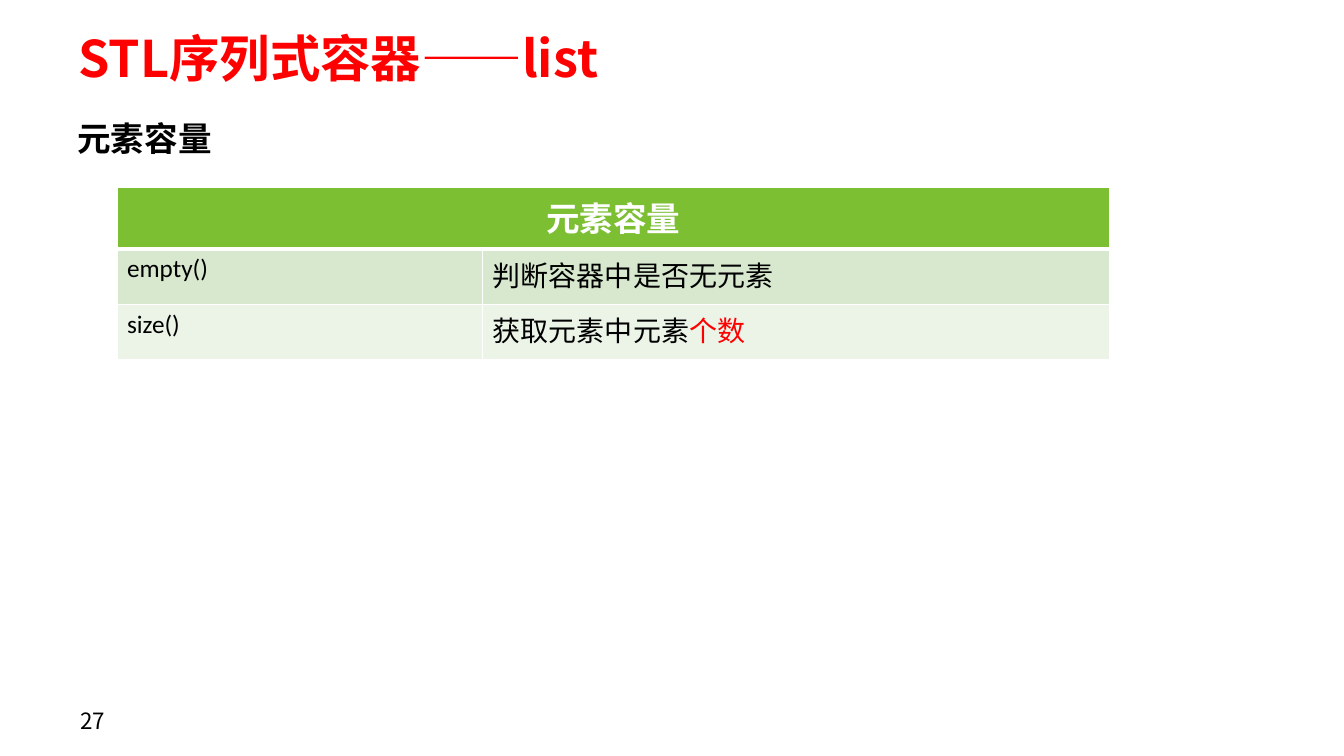
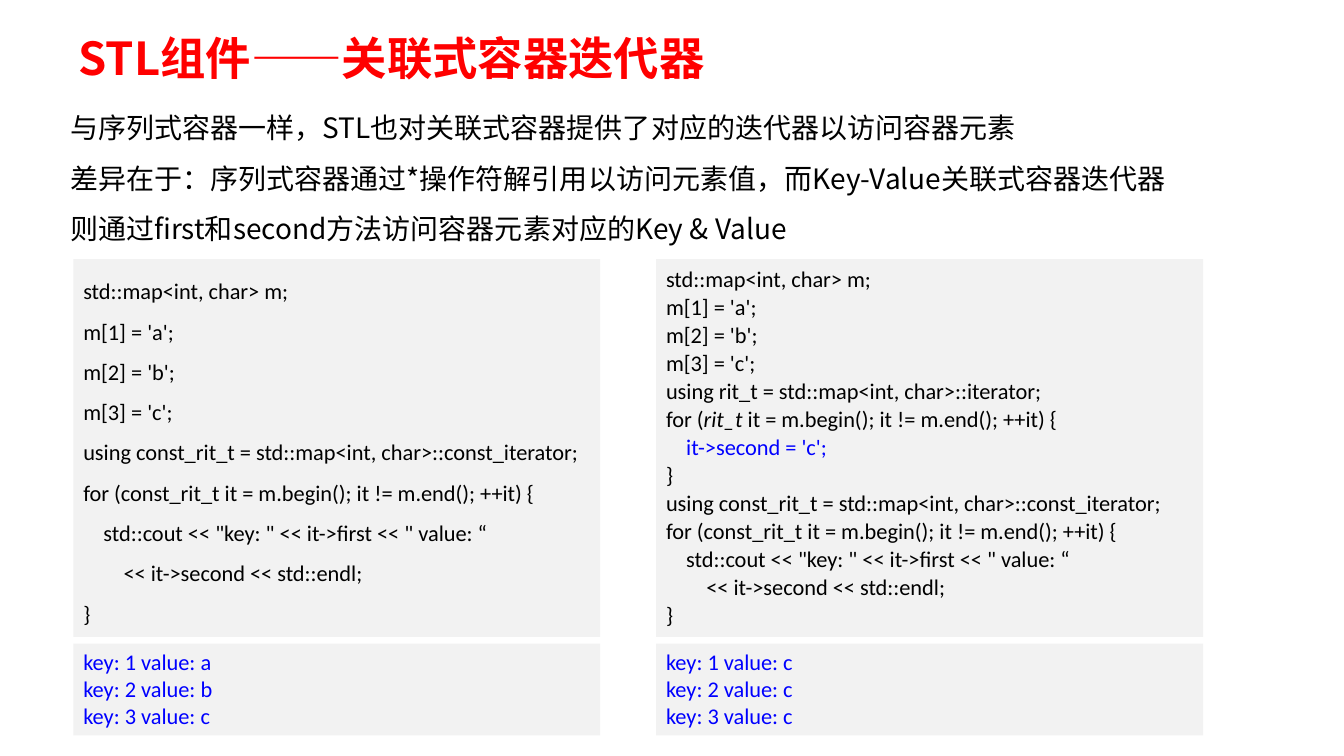
from pptx import Presentation
from pptx.dml.color import RGBColor
from pptx.enum import text
from pptx.oxml.xmlchemy import OxmlElement
from pptx.util import Cm, Pt

COLORS = {
    "title": "FF0000",
    "ink": "000000",
    "paper": "FFFFFF",
    "code": "0000FF",
    "panel": "F2F2F2",
    "header": "7CBF33",
    "band_dark": "D7E8CE",
    "band_light": "ECF4E8",
}
CJK = "Noto Sans CJK SC"
LATIN = "Calibri"

MAP_SETUP = ["std::map<int, char> m;", "m[1] = 'a';", "m[2] = 'b';", "m[3] = 'c';"]
PRINT_LOOP = [
    "using const_rit_t = std::map<int, char>::const_iterator;",
    "for (const_rit_t it = m.begin(); it != m.end(); ++it) {",
    "    std::cout << \"key: \" << it->first << \" value: “",
    "        << it->second << std::endl;",
    "}",
]
WRITE_LOOP = [
    "using rit_t = std::map<int, char>::iterator;",
    [("for (", {}), ("rit_t", {"italic": True}),
     (" it = m.begin(); it != m.end(); ++it) {", {})],
    [("    ", {}), ("it->second = 'c';", {"color": "code"})],
    "}",
]


def rgb(name):
    return RGBColor.from_string(COLORS[name])


def set_text(tf, lines, size, font=CJK, color="ink", bold=False,
             spacing=None, align=text.PP_ALIGN.LEFT):
    for i, line in enumerate(lines):
        p = tf.paragraphs[0] if i == 0 else tf.add_paragraph()
        p.alignment = align
        if spacing:
            p.line_spacing = spacing
        p.font.size = Pt(size)
        p.font.bold = bold
        p.font.name = font
        p.font.color.rgb = rgb(color)
        ea = OxmlElement("a:ea")
        ea.set("typeface", CJK)
        p._p.pPr.defRPr.append(ea)
        for content, style in [(line, {})] if isinstance(line, str) else line:
            r = p.add_run()
            r.text = content
            if "italic" in style:
                r.font.italic = style["italic"]
            if "color" in style:
                r.font.color.rgb = rgb(style["color"])


def set_margins(tf):
    tf.margin_left = tf.margin_right = Cm(0.33)
    tf.margin_top = tf.margin_bottom = Cm(0.18)
    tf.vertical_anchor = text.MSO_ANCHOR.MIDDLE


def add_slide(prs, title, size):
    slide = prs.slides.add_slide(prs.slide_layouts[5])
    sp = slide.shapes.title
    sp.left, sp.top, sp.width, sp.height = Cm(1.65), Cm(0.7), Cm(30.8), Cm(1.5)
    tf = sp.text_frame
    tf.auto_size = text.MSO_AUTO_SIZE.NONE
    set_margins(tf)
    set_text(tf, [title], size, color="title", bold=True)
    return slide


def add_text(slide, box, lines, size, fill=None, **style):
    sp = slide.shapes.add_textbox(*map(Cm, box))
    if fill:
        sp.fill.solid()
        sp.fill.fore_color.rgb = rgb(fill)
    tf = sp.text_frame
    tf.word_wrap = True
    set_text(tf, lines, size, **style)
    return sp


def add_code(slide, box, lines, **style):
    add_text(slide, box, lines, 16, fill="panel", font=LATIN, **style)


def set_borders(cell, bottom):
    tc_pr = cell._tc.get_or_add_tcPr()
    for side, width in zip("LRTB", (1, 1, 1, bottom)):
        ln = OxmlElement(f"a:ln{side}")
        ln.set("w", str(Pt(width)))
        fill = OxmlElement("a:solidFill")
        color = OxmlElement("a:srgbClr")
        color.set("val", COLORS["paper"])
        fill.append(color)
        ln.append(fill)
        tc_pr.append(ln)


def add_method_table(slide, header, rows):
    widths, heights = (9.22, 15.8), [1.55] + [1.4] * len(rows)
    box = (2.95, 4.72, sum(widths), sum(heights))
    table = slide.shapes.add_table(len(heights), 2, *map(Cm, box)).table
    for column, width in zip(table.columns, widths):
        column.width = Cm(width)
    for i, height in enumerate(heights):
        table.rows[i].height = Cm(height)
        band = "header" if i == 0 else ("band_light", "band_dark")[i % 2]
        for cell in table.rows[i].cells:
            set_borders(cell, 3 if i == 0 else 1)
            cell.fill.solid()
            cell.fill.fore_color.rgb = rgb(band)
    table.cell(0, 0).merge(table.cell(0, 1))
    set_text(table.cell(0, 0).text_frame, [header], 24, color="paper",
             bold=True, align=text.PP_ALIGN.CENTER)
    for i, (method, meaning) in enumerate(rows, 1):
        set_text(table.cell(i, 0).text_frame, [method], 18, font=LATIN)
        set_text(table.cell(i, 1).text_frame, [meaning], 20)


def add_capacity_slide(prs):
    slide = add_slide(prs, "STL序列式容器——list", 36)
    number = add_text(slide, (1.7, 17.65, 7.9, 1.02), ["27"], 16)
    set_margins(number.text_frame)
    add_text(slide, (1.7, 2.84, 5, 1.27), ["元素容量"], 24, bold=True)
    add_method_table(slide, "元素容量", [
        ("empty()", "判断容器中是否无元素"),
        ("size()", [("获取元素中元素", {}), ("个数", {"color": "title"})]),
    ])


def add_iterator_slide(prs):
    slide = add_slide(prs, "STL组件——关联式容器迭代器", 32.4)
    add_text(slide, (1.52, 2.24, 30.4, 4.11), [
        "与序列式容器一样，STL也对关联式容器提供了对应的迭代器以访问容器元素",
        "差异在于：序列式容器通过*操作符解引用以访问元素值，而Key-Value关联式容器迭代器",
        "则通过first和second方法访问容器元素对应的Key & Value",
    ], 20, spacing=1.5)
    examples = [
        (1.85, 13.28, MAP_SETUP + PRINT_LOOP, 1.5, "abc"),
        (16.54, 13.79, MAP_SETUP + WRITE_LOOP + PRINT_LOOP, Pt(20), "ccc"),
    ]
    for left, width, code, spacing, values in examples:
        add_code(slide, (left, 6.53, width, 9.52), code, spacing=spacing)
        output = [f"key: {key} value: {value}" for key, value in enumerate(values, 1)]
        add_code(slide, (left, 16.22, width, 2.31), output, color="code")


def main():
    prs = Presentation()
    prs.slide_width, prs.slide_height = Cm(33.88), Cm(19.05)
    add_capacity_slide(prs)
    add_iterator_slide(prs)
    prs.save("out.pptx")


if __name__ == "__main__":
    main()
